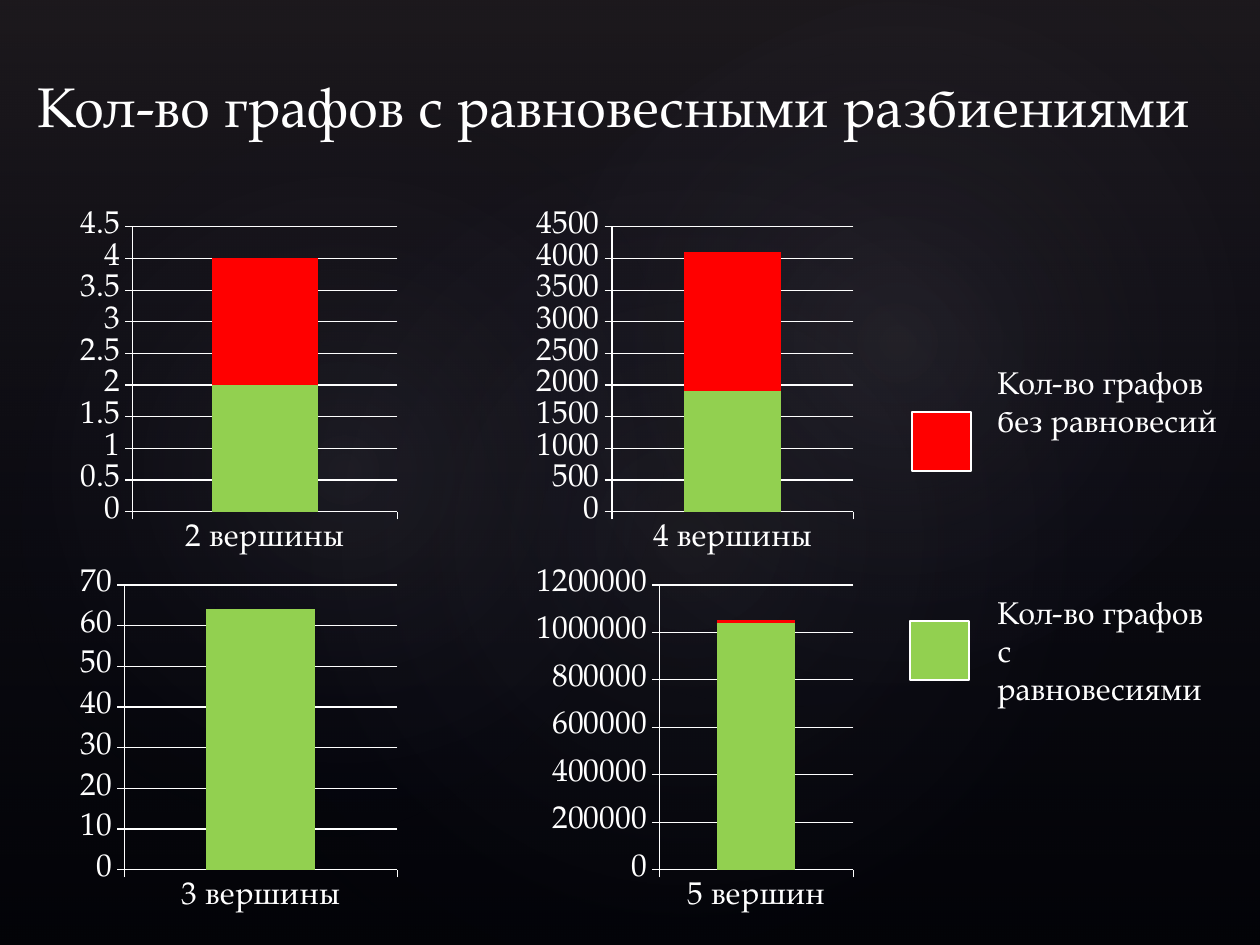
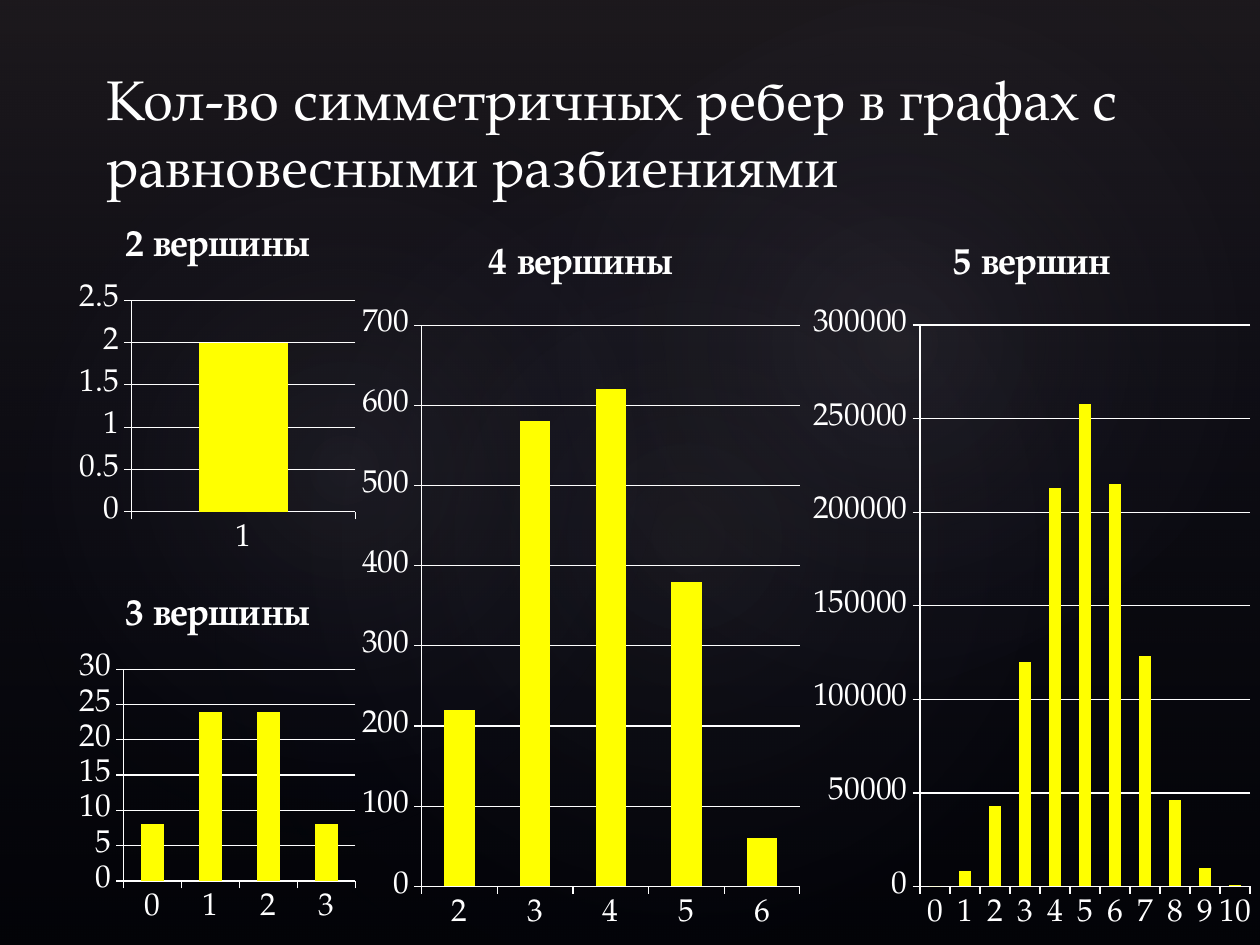
from pptx import Presentation
from pptx.chart.data import CategoryChartData
from pptx.dml.color import RGBColor
from pptx.enum.chart import XL_CHART_TYPE as ChartType, XL_TICK_MARK as TickMark
from pptx.enum.shapes import MSO_SHAPE as ShapeKind
from pptx.enum.text import MSO_ANCHOR as Anchor
from pptx.oxml import parse_xml
from pptx.oxml.ns import nsdecls, qn
from pptx.util import Emu, Pt

# Content
BALANCE_TITLE = "Кол-во графов с равновесными разбиениями"
BALANCE_CHARTS = [  # category, graphs with balance, graphs without
    ("2 вершины", 2, 2),
    ("3 вершины", 64, 0),
    ("4 вершины", 1900, 2200),
    ("5 вершин", 1040000, 10000),
]
LEGEND = [  # colour, swatch place, label box
    ("red", (912, 412), (985, 357, 248, 127), "Кол-во графов без равновесий"),
    ("green", (910, 621), (985, 587, 248, 165), "Кол-во графов с равновесиями"),
]

EDGES_TITLE = "Кол-во симметричных ребер в графах с равновесными разбиениями"
EDGE_CHARTS = [  # title, first category, values, box
    ("2 вершины", 1, [2], (74, 204, 287, 359)),
    ("3 вершины", 0, [8, 24, 24, 8], (74, 573, 287, 359)),
    ("4 вершины", 2, [220, 580, 620, 380, 60], (353, 214, 456, 731)),
    ("5 вершин", 0,
     [0, 8000, 43000, 120000, 213000, 258000, 215000, 123000, 46000, 10000, 1000],
     (804, 214, 456, 731)),
]

# Shared look
PX = 914400 / 126
WIDTH, HEIGHT = 1260, 945
FONT = "TeX Gyre Pagella"
COLORS = {
    "black": "000000", "white": "FFFFFF", "red": "FF0000", "green": "92D050",
    "yellow": "FFFF00", "haze": "504652", "glow": "C4BCC6", "navy": "242852",
}
GLOWS = [  # box, rotation, opacity at the centre in percent
    ((189, 144, 998, 786), 328.7, 7),
    ((-38, 161, 764, 617), 294.3, 8),
    ((451, 16, 893, 655), 328.7, 8),
]
LINEAR = '<a:lin ang="5400000" scaled="0"/>'
RADIAL = ('<a:path path="circle">'
          '<a:fillToRect l="50000" t="50000" r="50000" b="50000"/></a:path>')


def emu(*lengths):
    return [Emu(round(length * PX)) for length in lengths]


def rgb(name):
    return RGBColor.from_string(COLORS[name])


def style_font(font, size, bold=False):
    font.name, font.size, font.bold = FONT, Pt(size), bold
    font.color.rgb = rgb("white")


def add_plain_shape(slide, kind, box):
    shape = slide.shapes.add_shape(kind, *emu(*box))
    shape.shadow.inherit = False
    shape.line.fill.background()
    return shape


def fill_gradient(shape, stops, direction):
    """Give the shape a gradient of (position, colour, opacity) stops."""
    marks = "".join(
        f'<a:gs pos="{position * 1000}"><a:srgbClr val="{COLORS[color]}">'
        f'<a:alpha val="{opacity * 1000}"/></a:srgbClr></a:gs>'
        for position, color, opacity in stops)
    gradient = parse_xml(f'<a:gradFill {nsdecls("a")} rotWithShape="1">'
                         f'<a:gsLst>{marks}</a:gsLst>{direction}</a:gradFill>')
    shape.fill.background()
    properties = shape.element.spPr
    properties.replace(properties.find(qn("a:noFill")), gradient)


def add_text(slide, box, text, size, anchor=Anchor.TOP):
    frame = slide.shapes.add_textbox(*emu(*box)).text_frame
    frame.word_wrap = True
    frame.vertical_anchor = anchor
    run = frame.paragraphs[0].add_run()
    run.text = text
    style_font(run.font, size)


def add_slide(presentation, title, title_box):
    slide = presentation.slides.add_slide(presentation.slide_layouts[6])
    slide.background.fill.solid()
    slide.background.fill.fore_color.rgb = rgb("black")
    haze = add_plain_shape(slide, ShapeKind.RECTANGLE, (0, 0, WIDTH, HEIGHT))
    fill_gradient(haze, [(0, "haze", 36), (100, "navy", 10)], LINEAR)
    for box, rotation, opacity in GLOWS:
        glow = add_plain_shape(slide, ShapeKind.OVAL, box)
        glow.rotation = rotation
        fill_gradient(glow, [(0, "glow", opacity), (58, "navy", 0)], RADIAL)
    add_text(slide, title_box, title, 32, Anchor.BOTTOM)
    return slide


def add_columns(slide, box, categories, series, title=None):
    """Add a stacked column chart; series holds (name, values, colour)."""
    data = CategoryChartData()
    data.categories = categories
    for name, values, _ in series:
        data.add_series(name, values)
    chart = slide.shapes.add_chart(ChartType.COLUMN_STACKED, *emu(*box), data).chart
    style_font(chart.font, 18)
    chart.has_legend = False
    chart.has_title = title is not None
    if title:
        run = chart.chart_title.text_frame.paragraphs[0].add_run()
        run.text = title
        style_font(run.font, 21.6, bold=True)
        chart.chart_title.include_in_layout = False

    plot = chart.plots[0]
    plot.gap_width, plot.overlap = 150, 100
    plot.vary_by_categories = False
    for column, (_, _, color) in zip(plot.series, series):
        column.format.fill.solid()
        column.format.fill.fore_color.rgb = rgb(color)

    chart.value_axis.minimum_scale = 0
    chart.value_axis.has_major_gridlines = True
    chart.category_axis.has_major_gridlines = False
    for axis in (chart.category_axis, chart.value_axis):
        axis.major_tick_mark = TickMark.OUTSIDE
        axis.minor_tick_mark = TickMark.NONE
    for part in (chart.category_axis, chart.value_axis,
                 chart.value_axis.major_gridlines):
        part.format.line.color.rgb = rgb("white")
        part.format.line.width = Pt(0.75)


def build_balance_slide(presentation):
    slide = add_slide(presentation, BALANCE_TITLE, (25, 55, 1208, 90))
    # Charts fill a two by two grid, column by column
    for index, (category, balanced, unbalanced) in enumerate(BALANCE_CHARTS):
        column, row = divmod(index, 2)
        box = (74 + 456 * column, 204 + 358 * row, 330, 359)
        add_columns(slide, box, [category],
                    [("Series 1", [balanced], "green"),
                     ("Series 2", [unbalanced], "red")])
    # Legend
    for color, place, label_box, label in LEGEND:
        swatch = add_plain_shape(slide, ShapeKind.RECTANGLE, (*place, 59, 59))
        swatch.fill.solid()
        swatch.fill.fore_color.rgb = rgb(color)
        swatch.line.color.rgb = rgb("white")
        swatch.line.width = Pt(1.5)
        add_text(slide, label_box, label, 18)


def build_edges_slide(presentation):
    slide = add_slide(presentation, EDGES_TITLE, (94, 16, 1071, 189))
    for title, first, values, box in EDGE_CHARTS:
        categories = [str(first + step) for step in range(len(values))]
        add_columns(slide, box, categories, [(title, values, "yellow")], title)


def main():
    presentation = Presentation()
    presentation.slide_width, presentation.slide_height = emu(WIDTH, HEIGHT)
    build_balance_slide(presentation)
    build_edges_slide(presentation)
    presentation.save("out.pptx")


if __name__ == "__main__":
    main()
